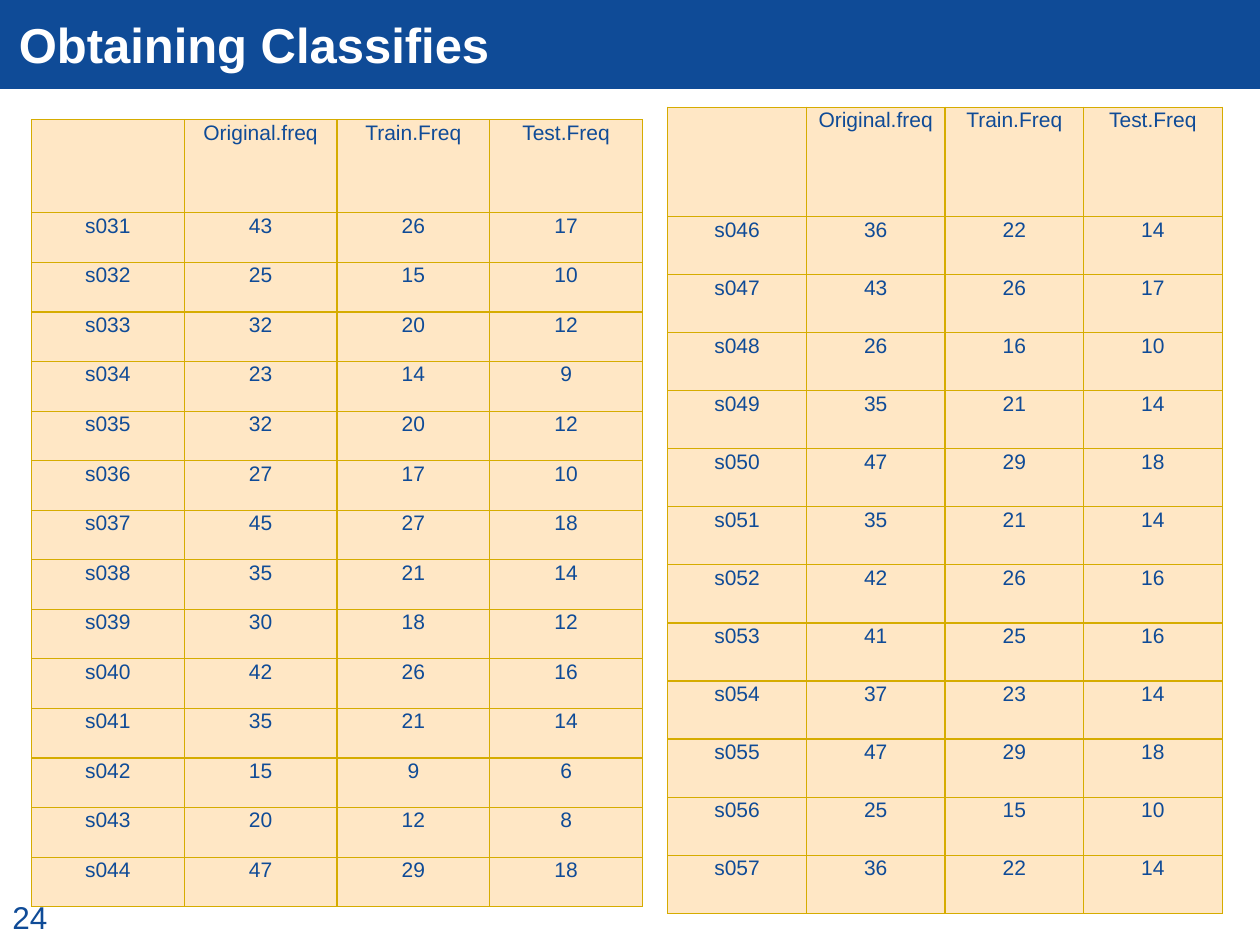
from pptx import Presentation
from pptx.dml.color import RGBColor
from pptx.enum.shapes import MSO_SHAPE
from pptx.enum.text import MSO_ANCHOR, PP_ALIGN
from pptx.oxml import parse_xml
from pptx.oxml.ns import nsdecls
from pptx.util import Inches, Pt

BLUE = RGBColor(0x0F, 0x4B, 0x97)
WHITE = RGBColor(0xFF, 0xFF, 0xFF)
CREAM = RGBColor(0xFF, 0xE7, 0xC5)
GOLD = RGBColor(0xD6, 0xAC, 0x00)
FONT = "Arial"

HEADER = ("", "Original.freq", "Train.Freq", "Test.Freq")
LEFT_ROWS = [
    ("s031", 43, 26, 17), ("s032", 25, 15, 10), ("s033", 32, 20, 12),
    ("s034", 23, 14, 9), ("s035", 32, 20, 12), ("s036", 27, 17, 10),
    ("s037", 45, 27, 18), ("s038", 35, 21, 14), ("s039", 30, 18, 12),
    ("s040", 42, 26, 16), ("s041", 35, 21, 14), ("s042", 15, 9, 6),
    ("s043", 20, 12, 8), ("s044", 47, 29, 18),
]
RIGHT_ROWS = [
    ("s046", 36, 22, 14), ("s047", 43, 26, 17), ("s048", 26, 16, 10),
    ("s049", 35, 21, 14), ("s050", 47, 29, 18), ("s051", 35, 21, 14),
    ("s052", 42, 26, 16), ("s053", 41, 25, 16), ("s054", 37, 23, 14),
    ("s055", 47, 29, 18), ("s056", 25, 15, 10), ("s057", 36, 22, 14),
]


def set_font(para, size, color, bold=False):
    font = para.font
    font.name, font.size, font.bold = FONT, Pt(size), bold
    font.color.rgb = color


def add_banner(page, left, top, width, height):
    banner = page.shapes.add_shape(MSO_SHAPE.RECTANGLE, left, top, width, height)
    banner.shadow.inherit = False
    banner.fill.solid()
    banner.fill.fore_color.rgb = BLUE
    banner.line.color.rgb = BLUE
    banner.line.width = Pt(0.75)
    # Keep the banner behind the title placeholder.
    page.shapes.title._element.addprevious(banner._element)


def place_title(page, text, left, top, width, height):
    title = page.shapes.title
    title.left, title.top, title.width, title.height = left, top, width, height
    frame = title.text_frame
    frame.text = text
    frame.vertical_anchor = MSO_ANCHOR.MIDDLE
    para = frame.paragraphs[0]
    para.alignment = PP_ALIGN.LEFT
    set_font(para, 28, WHITE, bold=True)


def add_page_number(page, text, left, top, width, height):
    frame = page.shapes.add_textbox(left, top, width, height).text_frame
    frame.word_wrap = True
    frame.text = text
    set_font(frame.paragraphs[0], 18, BLUE)


def add_borders(cell):
    """Draw all four sides; border elements must come before the cell fill."""
    properties = cell._tc.get_or_add_tcPr()
    for index, side in enumerate(("lnL", "lnR", "lnT", "lnB")):
        properties.insert(index, parse_xml(
            f'<a:{side} {nsdecls("a")} w="{Pt(0.75)}"><a:solidFill>'
            f'<a:srgbClr val="{GOLD}"/></a:solidFill></a:{side}>'))


def format_cell(cell, text):
    cell.margin_left = cell.margin_right = cell.margin_top = Inches(0.01)
    cell.margin_bottom = 0
    cell.fill.solid()
    cell.fill.fore_color.rgb = CREAM
    add_borders(cell)
    cell.text = text
    para = cell.text_frame.paragraphs[0]
    para.alignment = PP_ALIGN.CENTER
    set_font(para, 12, BLUE)


def add_frequency_table(page, rows, left, top, width, height, header_height):
    lines = [HEADER, *rows]
    table = page.shapes.add_table(
        len(lines), len(HEADER), left, top, width, height).table
    for column in table.columns:
        column.width = width // len(HEADER)
    row_height = (height - header_height) // len(rows)
    for number, (row, values) in enumerate(zip(table.rows, lines)):
        row.height = row_height if number else header_height
        for cell, value in zip(row.cells, values):
            format_cell(cell, str(value))


def main():
    deck = Presentation()
    deck.slide_width, deck.slide_height = Inches(10), Inches(7.5)
    page = deck.slides.add_slide(deck.slide_layouts[5])
    add_banner(page, 0, 0, deck.slide_width, Inches(0.7))
    place_title(page, "Obtaining Classifies",
                Inches(0.05), 0, Inches(9.7), Inches(0.7))
    add_page_number(page, "24", 0, Inches(7.08), Inches(0.55), Inches(0.5))
    add_frequency_table(page, RIGHT_ROWS, Inches(5.3), Inches(0.85),
                        Inches(4.4), Inches(6.4), Inches(0.87))
    add_frequency_table(page, LEFT_ROWS, Inches(0.25), Inches(0.95),
                        Inches(4.85), Inches(6.25), Inches(0.74))
    deck.save("out.pptx")


if __name__ == "__main__":
    main()
